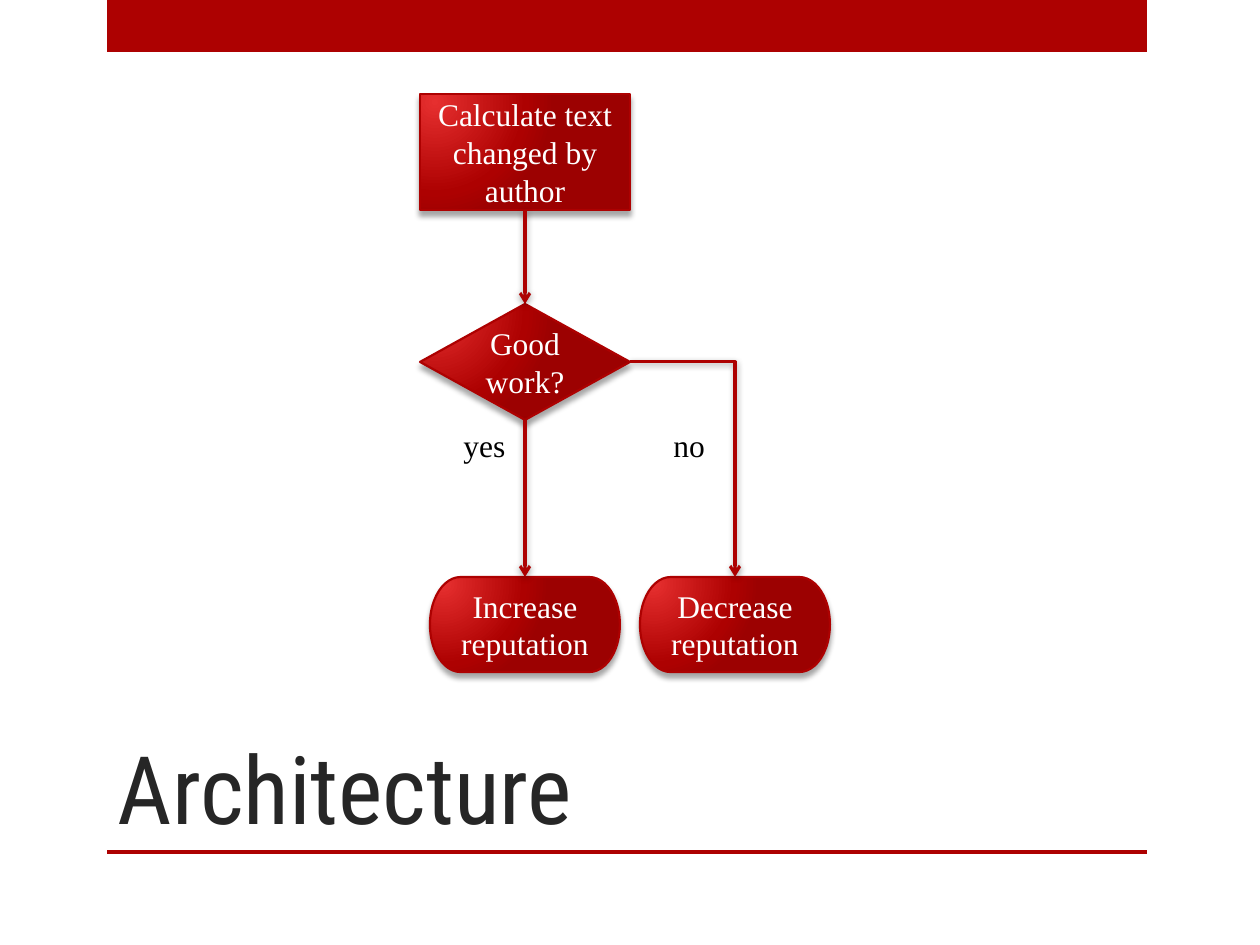
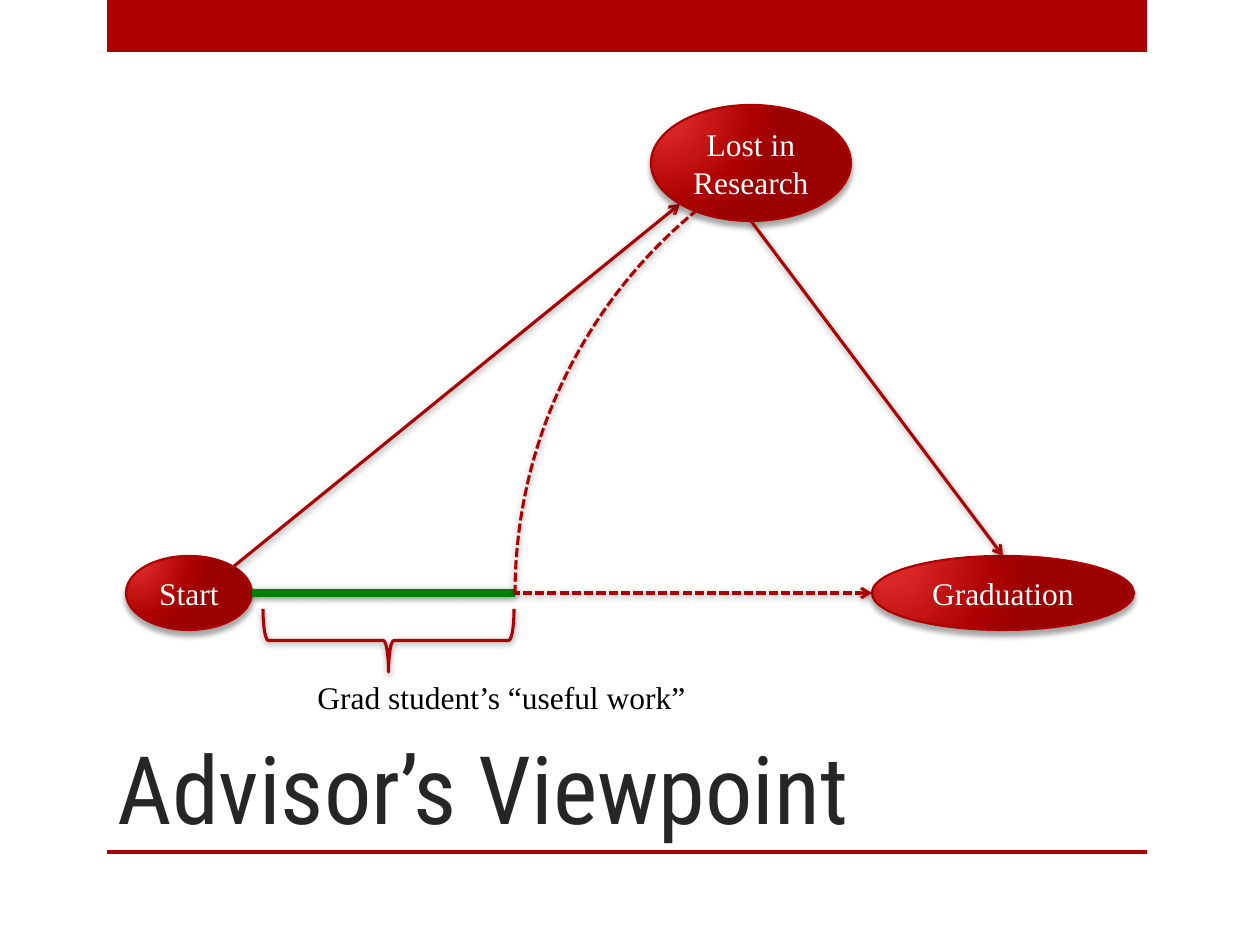
from lxml import etree
from pptx import Presentation
from pptx.dml.color import RGBColor
from pptx.enum.dml import MSO_LINE
from pptx.enum.shapes import MSO_CONNECTOR, MSO_SHAPE
from pptx.enum.text import MSO_ANCHOR, MSO_AUTO_SIZE, PP_ALIGN
from pptx.oxml import parse_xml
from pptx.oxml.ns import nsdecls, qn
from pptx.util import Emu, Pt

# Shared look
RED, GREEN, WHITE, BLACK, CHARCOAL = "AD0101", "008000", "FFFFFF", "000000", "262626"
TITLE_FONT, BODY_FONT = "Roboto Condensed", "Times New Roman"
GRADIENT = ((0, "E62F2F"), (76, RED), (100, "9C0101"))
NODE_SHADOW = dict(opacity=35, blur=3, distance=3, angle=90)
LINE_SHADOW = dict(opacity=40, blur=4, distance=1, angle=88)

RECT, OVAL = MSO_SHAPE.RECTANGLE, MSO_SHAPE.OVAL
PROCESS, DECISION = MSO_SHAPE.FLOWCHART_PROCESS, MSO_SHAPE.FLOWCHART_DECISION
TERMINATOR, CIRCLE = MSO_SHAPE.FLOWCHART_TERMINATOR, MSO_SHAPE.FLOWCHART_CONNECTOR
BRACE, ARC = MSO_SHAPE.RIGHT_BRACE, MSO_SHAPE.ARC
STRAIGHT, ELBOW = MSO_CONNECTOR.STRAIGHT, MSO_CONNECTOR.ELBOW
DASHED = MSO_LINE.SQUARE_DOT
LEFT, CENTER = PP_ALIGN.LEFT, PP_ALIGN.CENTER
MIDDLE, BOTTOM = MSO_ANCHOR.MIDDLE, MSO_ANCHOR.BOTTOM
NO_FIT, FIT_SHAPE = MSO_AUTO_SIZE.NONE, MSO_AUTO_SIZE.SHAPE_TO_FIT_TEXT
TOP_SIDE, BOTTOM_SIDE, RIGHT_SIDE = 0, 2, 3

PX_PER_INCH = 126


def px(*lengths):
    return [Emu(round(length * 914400 / PX_PER_INCH)) for length in lengths]


def color(hex_code):
    return RGBColor.from_string(hex_code)


def write_text(frame, text, size=18, font=BODY_FONT, fill=BLACK, align=LEFT,
               anchor=None, wrap=True, fit=NO_FIT):
    frame.word_wrap = wrap
    frame.auto_size = fit
    if anchor is not None:
        frame.vertical_anchor = anchor
    para = frame.paragraphs[0]
    para.alignment = align
    span = para.add_run()
    span.text = text
    span.font.size = Pt(size)
    span.font.name = font
    span.font.color.rgb = color(fill)


def add_shadow(item, opacity, blur, distance, angle):
    properties = item.element.spPr
    effects = properties.find(qn("a:effectLst"))
    if effects is None:
        effects = etree.SubElement(properties, qn("a:effectLst"))
    effects.append(parse_xml(
        f'<a:outerShdw {nsdecls("a")} blurRad="{Pt(blur)}" dist="{Pt(distance)}" '
        f'dir="{angle * 60000}" rotWithShape="0"><a:srgbClr val="{BLACK}">'
        f'<a:alpha val="{opacity * 1000}"/></a:srgbClr></a:outerShdw>'))


def set_line(item, stroke=RED, width=1.75, dash=None, arrow=False):
    item.line.color.rgb = color(stroke)
    item.line.width = Pt(width)
    if dash:
        item.line.dash_style = dash
    if arrow:
        outline = item.element.spPr.find(qn("a:ln"))
        etree.SubElement(outline, qn("a:tailEnd"), type="arrow")


def set_radial_fill(shape):
    stops = "".join(f'<a:gs pos="{place * 1000}"><a:srgbClr val="{tint}"/></a:gs>'
                    for place, tint in GRADIENT)
    shape.fill.background()
    properties = shape.element.spPr
    properties.replace(properties.find(qn("a:noFill")), parse_xml(
        f'<a:gradFill {nsdecls("a")} rotWithShape="1"><a:gsLst>{stops}</a:gsLst>'
        '<a:path path="circle"><a:fillToRect l="15000" t="15000" r="100000" b="100000"/>'
        '</a:path></a:gradFill>'))


def add_node(page, kind, text, center, top, width, height):
    node = page.shapes.add_shape(kind, *px(center - width / 2, top, width, height))
    node.shadow.inherit = False
    set_radial_fill(node)
    set_line(node, width=1.25)
    add_shadow(node, **NODE_SHADOW)
    write_text(node.text_frame, text, fill=WHITE, align=CENTER, anchor=MIDDLE)
    return node


def add_link(page, start, end, kind=STRAIGHT, source=None, target=None, **style):
    """source and target are (shape, side) pairs."""
    link = page.shapes.add_connector(kind, *px(*start, *end))
    if source:
        link.begin_connect(*source)
    if target:
        link.end_connect(*target)
    if kind == ELBOW:  # a single corner
        link.element.spPr.find(qn("a:prstGeom")).set("prst", "bentConnector2")
    set_line(link, **style)
    add_shadow(link, **LINE_SHADOW)


def add_outline(page, kind, place, rotation, angles=(), **style):
    outline = page.shapes.add_shape(kind, *px(*place))
    outline.rotation = rotation
    for index, angle in enumerate(angles):
        outline.adjustments[index] = angle * 0.6
    outline.fill.background()
    outline.shadow.inherit = False
    set_line(outline, **style)
    add_shadow(outline, **LINE_SHADOW)


def add_label(page, text, *place):
    box = page.shapes.add_textbox(*px(*place))
    write_text(box.text_frame, text, wrap=False, fit=FIT_SHAPE)


def add_page(deck, title):
    page = deck.slides.add_slide(deck.slide_layouts[5])
    heading = page.shapes.title
    heading.left, heading.top, heading.width, heading.height = px(105, 630, 935, 220)
    write_text(heading.text_frame, title, size=54, font=TITLE_FONT,
               fill=CHARCOAL, anchor=BOTTOM)
    return page


def move_bands_to_master(deck, page):
    """Draw the two red bands and let every page inherit them."""
    tree = deck.slide_master.shapes.element
    for number, (top, height) in enumerate(((0, 52), (850, 4))):
        band = page.shapes.add_shape(RECT, *px(107, top, 1040, height))
        band.fill.solid()
        band.fill.fore_color.rgb = color(RED)
        band.line.fill.background()
        band.shadow.inherit = False
        band.element.nvSpPr.cNvPr.set("id", str(50 + number))
        tree.insert(2 + number, band.element)


def build_architecture(page):
    main_x, side_x = 525, 735
    calculate = add_node(page, PROCESS, "Calculate text changed by author",
                         main_x, 94, 210, 116)
    decision = add_node(page, DECISION, "Good work?", main_x, 304, 210, 116)
    increase, decrease = [
        add_node(page, TERMINATOR, f"{change} reputation", center, 577, 190, 95)
        for change, center in (("Increase", main_x), ("Decrease", side_x))]

    add_link(page, (main_x, 210), (main_x, 304), arrow=True,
             source=(calculate, BOTTOM_SIDE), target=(decision, TOP_SIDE))
    add_link(page, (main_x, 420), (main_x, 577), arrow=True,
             source=(decision, BOTTOM_SIDE), target=(increase, TOP_SIDE))
    add_link(page, (630, 362), (side_x, 577), kind=ELBOW, arrow=True,
             source=(decision, RIGHT_SIDE), target=(decrease, TOP_SIDE))
    add_label(page, "yes", 451, 420, 69, 50)
    add_label(page, "no", 661, 420, 57, 50)


def build_viewpoint(page):
    path_y, turn_x = 593, 515
    add_node(page, OVAL, "Start", 189, 556, 126, 74)
    add_link(page, (233, 567), (680, 204), arrow=True)
    add_node(page, CIRCLE, "Lost in Research", 751, 105, 200, 116)
    graduation = add_node(page, OVAL, "Graduation", 1003, 556, 262, 74)
    add_link(page, (751, 221), (1003, 556), target=(graduation, TOP_SIDE), arrow=True)

    # Planned path, its finished part and the detour
    add_link(page, (252, path_y), (872, path_y), dash=DASHED, arrow=True)
    add_outline(page, BRACE, (357, 515, 63, 251), 90)
    add_label(page, "Grad student’s “useful work”", 305, 672, 397, 50)
    add_link(page, (252, path_y), (turn_x, path_y), stroke=GREEN, width=4.5)
    add_outline(page, ARC, (turn_x, 98, 992, 992), 270, angles=(270, 320.54), dash=DASHED)


def main():
    deck = Presentation()
    deck.slide_width, deck.slide_height = px(1260, 945)
    architecture = add_page(deck, "Architecture")
    move_bands_to_master(deck, architecture)
    build_architecture(architecture)
    build_viewpoint(add_page(deck, "Advisor’s Viewpoint"))
    deck.save("out.pptx")


if __name__ == "__main__":
    main()
